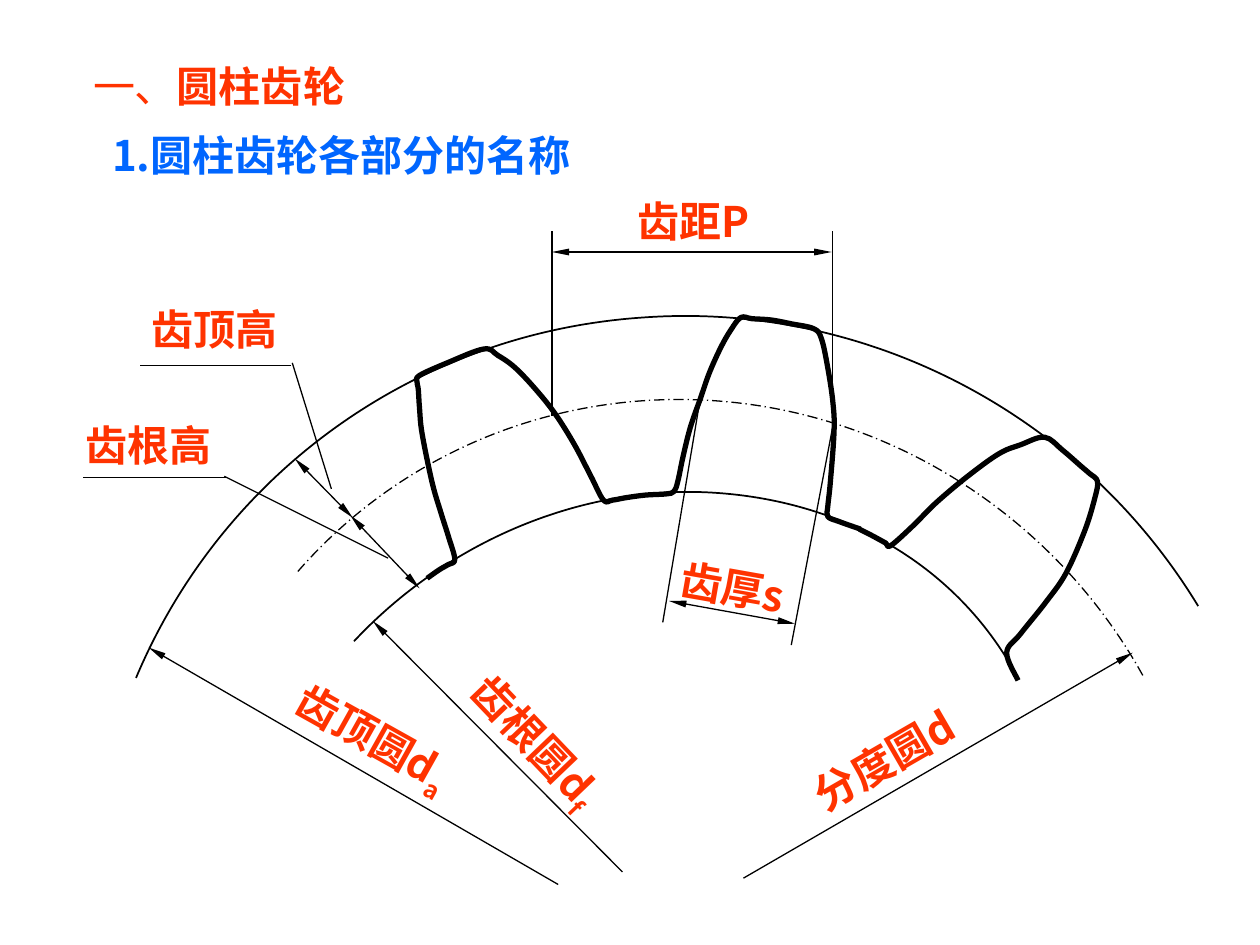
from dataclasses import dataclass

from lxml.etree import SubElement
from pptx import Presentation
from pptx.dml.color import RGBColor
from pptx.enum.dml import MSO_LINE
from pptx.enum.shapes import MSO_CONNECTOR
from pptx.enum.text import MSO_ANCHOR, MSO_AUTO_SIZE, PP_ALIGN
from pptx.oxml.ns import qn
from pptx.util import Inches, Pt


@dataclass(frozen=True)
class Theme:
    font: str = "Noto Sans CJK SC"
    size: Pt = Pt(24)
    red: RGBColor = RGBColor(0xFF, 0x33, 0x00)
    blue: RGBColor = RGBColor(0x00, 0x66, 0xFF)
    ink: RGBColor = RGBColor(0, 0, 0)
    thin: Pt = Pt(0.75)
    circle: Pt = Pt(1)
    tooth: Pt = Pt(3)


T = Theme()

# Circle arcs: end point, then two control points and an end point per curve
PITCH_ARC = [(9.07, 4.36), (8.41, 3.17), (7.21, 2.36), (5.88, 2.2),
             (4.54, 2.04), (3.23, 2.54), (2.36, 3.54)]
TIP_ARC = [(9.51, 3.81), (8.58, 2.28), (6.87, 1.39), (5.1, 1.52),
           (3.32, 1.64), (1.77, 2.74), (1.08, 4.38)]
ROOT_ARC = [(8.04, 4.31), (7.56, 3.47), (6.68, 2.97), (5.65, 2.91),
            (4.62, 2.85), (3.56, 3.29), (2.81, 4.09)]

# Points which the tooth outlines pass through
LEFT_TEETH = [
    (3.39, 3.59), (3.49, 3.52), (3.56, 3.48), (3.61, 3.44), (3.56, 3.26),
    (3.5, 3.07), (3.43, 2.83), (3.35, 2.44), (3.33, 2.24), (3.32, 2.09),
    (3.31, 2.03), (3.33, 1.98), (3.55, 1.88), (3.84, 1.77), (3.95, 1.82),
    (4.09, 1.92), (4.26, 2.1), (4.41, 2.29), (4.56, 2.53), (4.69, 2.78),
    (4.79, 2.97), (4.86, 2.97), (4.97, 2.95), (5.12, 2.93), (5.29, 2.92),
    (5.35, 2.9), (5.38, 2.82), (5.42, 2.63), (5.48, 2.39), (5.56, 2.16),
    (5.63, 1.96), (5.72, 1.76), (5.8, 1.62), (5.88, 1.52), (5.97, 1.53),
    (6.12, 1.54), (6.28, 1.57), (6.46, 1.61), (6.52, 1.69), (6.57, 1.92),
    (6.61, 2.19), (6.62, 2.42), (6.59, 2.83), (6.57, 3.02), (6.57, 3.1),
    (6.66, 3.14), (6.83, 3.2)]
RIGHT_TOOTH = [
    (6.82, 3.2), (6.92, 3.25), (7.03, 3.31), (7.07, 3.33), (7.25, 3.17),
    (7.43, 2.99), (7.68, 2.78), (7.93, 2.6), (8.1, 2.53), (8.29, 2.47),
    (8.43, 2.57), (8.58, 2.7), (8.65, 2.76), (8.71, 2.82), (8.69, 2.95),
    (8.61, 3.21), (8.46, 3.55), (8.3, 3.78), (8.1, 4.03), (7.99, 4.18),
    (8.08, 4.4)]

# Start, end, and the number of arrowheads (one sits at the end)
LINES = [
    ((4.43, 6.02), (1.18, 4.14), 1), ((4.94, 5.92), (2.96, 3.93), 1),
    ((5.9, 5.97), (8.99, 4.18), 1),
    ((4.38, 2.3), (4.38, 0.83), 0), ((6.61, 2.35), (6.61, 0.83), 0),
    ((4.38, 1), (6.6, 1), 2),
    ((6.62, 2.33), (6.28, 4.12), 0), ((5.56, 2.15), (5.26, 3.94), 0),
    ((5.31, 3.77), (6.31, 3.95), 2),
    ((2.34, 2.64), (2.8, 3.11), 2), ((2.78, 3.09), (3.33, 3.67), 2),
    ((3.08, 3.43), (1.78, 2.78), 0), ((1.8, 2.79), (0.66, 2.79), 0),
    ((2.63, 2.88), (2.32, 1.88), 0), ((2.31, 1.9), (1.11, 1.9), 0)]

# Text, subscript, left, top, width, height, rotation
LABELS = [
    ("齿距P", "", 4.92, 0.5, 1.17, 0.5, 0),
    ("齿顶圆d", "a", 2.15, 4.59, 1.61, 0.56, 29.2),
    ("齿根圆d", "f", 3.46, 4.62, 1.56, 0.56, 46.3),
    ("分度圆d", "", 6.27, 4.78, 1.49, 0.5, 330),
    ("齿厚s", "", 5.26, 3.41, 1.11, 0.5, 10),
    ("齿顶高", "", 1.1, 1.36, 1.2, 0.5, 0),
    ("齿根高", "", 0.58, 2.28, 1.2, 0.5, 0)]


def add_run(p, text, color, bold=True, subscript=False):
    r = p.add_run()
    r.text = text
    r.font.size, r.font.bold, r.font.name = T.size, bold, T.font
    r.font.color.rgb = color
    rPr = r._r.get_or_add_rPr()
    SubElement(rPr, qn("a:ea")).set("typeface", T.font)
    if subscript:
        rPr.set("baseline", "-25000")


def smooth(points):
    """Bezier points of a smooth curve through the given points."""
    padded = [points[0], *points, points[-1]]
    out = [points[0]]
    for a, b, c, d in zip(padded, padded[1:], padded[2:], padded[3:]):
        out += [(b[0] + (c[0] - a[0]) / 6, b[1] + (c[1] - a[1]) / 6),
                (c[0] - (d[0] - b[0]) / 6, c[1] - (d[1] - b[1]) / 6), c]
    return out


def add_curve(s, box, points, width, dash=None):
    """Draw a Bezier chain, turning every three line steps into one curve."""
    pts = [(box[0] + Inches(x), box[1] + Inches(y)) for x, y in points]
    builder = s.shapes.build_freeform(*pts[0])
    builder.add_line_segments(pts[1:], close=False)
    sp = builder.convert_to_shape()
    steps = list(sp._element.iter(qn("a:lnTo")))
    for i in range(0, len(steps), 3):
        curve = SubElement(steps[i].getparent(), qn("a:cubicBezTo"))
        for step in steps[i:i + 3]:
            curve.append(step[0])
            step.getparent().remove(step)
    sp.shadow.inherit = False
    sp.fill.background()
    sp.line.color.rgb, sp.line.width = T.ink, width
    if dash:
        sp.line.dash_style = dash


def add_line(s, box, start, end, heads):
    ends = [o + Inches(v) for pt in (start, end) for o, v in zip(box, pt)]
    c = s.shapes.add_connector(MSO_CONNECTOR.STRAIGHT, *ends)
    c.line.color.rgb, c.line.width = T.ink, T.thin
    ln = c.line._get_or_add_ln()
    for tag in ([], ["a:tailEnd"], ["a:headEnd", "a:tailEnd"])[heads]:
        SubElement(ln, qn(tag), type="triangle", w="sm", len="lg")
    SubElement(c._element.spPr, qn("a:effectLst"))


def add_label(s, box, text, sub, left, top, width, height, rotation):
    sp = s.shapes.add_textbox(box[0] + Inches(left), box[1] + Inches(top),
                              Inches(width), Inches(height))
    sp.rotation = rotation
    tf = sp.text_frame
    tf.word_wrap, tf.auto_size = False, MSO_AUTO_SIZE.NONE
    tf.margin_left = tf.margin_right = Inches(0)
    tf.vertical_anchor = MSO_ANCHOR.MIDDLE
    p = tf.paragraphs[0]
    p.alignment = PP_ALIGN.CENTER
    add_run(p, text, T.red)
    if sub:
        add_run(p, sub, T.red, subscript=True)


def add_headings(s, box):
    left, top = box
    section = s.shapes.add_textbox(left, top, Inches(2.8), Inches(0.5))
    title = s.shapes.title
    title.left, title.top = left + Inches(0.15), top + Inches(0.57)
    title.width, title.height = Inches(4.55), Inches(0.45)
    for sp in (section, title):
        tf = sp.text_frame
        tf.word_wrap, tf.auto_size = True, MSO_AUTO_SIZE.NONE
        tf.vertical_anchor = MSO_ANCHOR.MIDDLE
        tf.paragraphs[0].alignment = PP_ALIGN.LEFT
    p = section.text_frame.paragraphs[0]
    add_run(p, "一、", T.red, bold=False)
    add_run(p, "圆柱齿轮", T.red)
    add_run(title.text_frame.paragraphs[0], "1.圆柱齿轮各部分的名称", T.blue)


def add_gear(s, box):
    add_curve(s, box, PITCH_ARC, T.thin, MSO_LINE.LONG_DASH_DOT)
    for arc in (TIP_ARC, ROOT_ARC):
        add_curve(s, box, arc, T.circle)
    for outline in (LEFT_TEETH, RIGHT_TOOTH):
        add_curve(s, box, smooth(outline), T.tooth)


def add_dimensions(s, box):
    for line in LINES:
        add_line(s, box, *line)
    for label in LABELS:
        add_label(s, box, *label)


def main():
    prs = Presentation()
    prs.slide_width, prs.slide_height = Inches(10), Inches(7.5)
    s = prs.slides.add_slide(prs.slide_layouts[5])
    add_headings(s, (Inches(0.64), Inches(0.43)))
    drawing = (Inches(0), Inches(1))
    add_gear(s, drawing)
    add_dimensions(s, drawing)
    prs.save("out.pptx")


if __name__ == "__main__":
    main()
